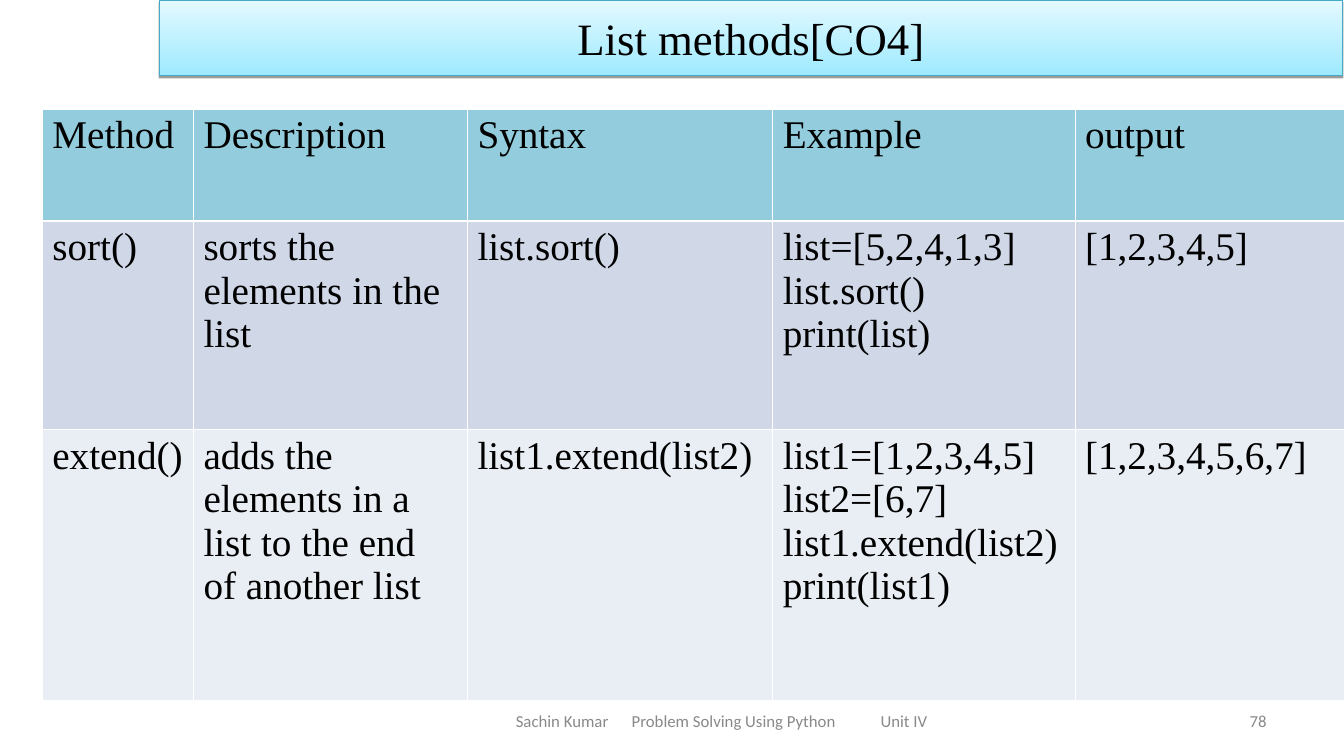
from lxml.etree import SubElement
from pptx import Presentation
from pptx.dml.color import RGBColor
from pptx.enum.shapes import MSO_SHAPE
from pptx.enum.text import MSO_ANCHOR, PP_ALIGN
from pptx.oxml.ns import qn
from pptx.util import Inches, Pt

COLORS = {
    "text": "000000", "muted": "898989", "edge": "46AAC5",
    "low": "9EEAFF", "high": "E4F9FF", "border": "FFFFFF",
    "head": "93CDDD", "odd": "D0D8E8", "even": "E9EDF4",
}
WIDTHS = [1.5, 2.72, 3.03, 3, 2.67]
HEIGHTS = [1.11, 2.07, 2.69]
ROWS = [
    ["Method", "Description", "Syntax", "Example", "output"],
    ["sort()", "sorts the elements in the list", "list.sort()",
     "list=[5,2,4,1,3]\nlist.sort()\nprint(list)", "[1,2,3,4,5]"],
    ["extend()", "adds the elements in a list to the end of another list",
     "list1.extend(list2)",
     "list1=[1,2,3,4,5]\nlist2=[6,7]\nlist1.extend(list2)\nprint(list1)",
     "[1,2,3,4,5,6,7]"],
]
FILLS = ["head", "odd", "even"]
THIN, THICK = 0.45, 1.47


def color(name):
    return RGBColor.from_string(COLORS[name])


def write(frame, text, size, font, tint, align=PP_ALIGN.LEFT):
    frame.word_wrap = True
    for i, line in enumerate(text.split("\n")):
        para = frame.paragraphs[0] if i == 0 else frame.add_paragraph()
        para.alignment = align
        run = para.add_run()
        run.text = line
        run.font.size = Pt(size)
        run.font.name = font
        run.font.color.rgb = color(tint)


def add_title(slide, text):
    bar = slide.shapes.add_shape(MSO_SHAPE.RECTANGLE, Inches(1.58), 0,
                                 Inches(11.75), Inches(0.75))
    bar.fill.gradient()
    bar.fill.gradient_angle = 90
    for stop, name in zip(bar.fill.gradient_stops, ["low", "high"]):
        stop.color.rgb = color(name)
    bar.line.color.rgb = color("edge")
    bar.line.width = Pt(0.75)

    # Soft edge below the bar
    bar.shadow.inherit = False
    effects = bar._element.spPr.find(qn("a:effectLst"))
    shade = SubElement(effects, qn("a:outerShdw"), blurRad="0",
                       dist=str(Pt(1.6)), dir="5400000", rotWithShape="0")
    tone = SubElement(shade, qn("a:srgbClr"), val=COLORS["text"])
    SubElement(tone, qn("a:alpha"), val="38000")

    bar.text_frame.vertical_anchor = MSO_ANCHOR.MIDDLE
    write(bar.text_frame, text, 32, "Times New Roman", "text", PP_ALIGN.CENTER)


def add_border(cell, side, width):
    line = SubElement(cell._tc.get_or_add_tcPr(), qn(f"a:{side}"),
                      w=str(Pt(width)))
    fill = SubElement(line, qn("a:solidFill"))
    SubElement(fill, qn("a:srgbClr"), val=COLORS["border"])


def add_grid(slide):
    frame = slide.shapes.add_table(
        len(ROWS), len(WIDTHS), Inches(0.42), Inches(1.08),
        Inches(sum(WIDTHS)), Inches(sum(HEIGHTS)))
    table = frame.table
    table.first_row = table.horz_banding = False
    for col, width in zip(table.columns, WIDTHS):
        col.width = Inches(width)
    for r, texts in enumerate(ROWS):
        table.rows[r].height = Inches(HEIGHTS[r])
        for c, text in enumerate(texts):
            cell = table.cell(r, c)
            write(cell.text_frame, text, 28, "Times New Roman", "text")
            # Borders come before the fill; the header rule is thicker
            add_border(cell, "lnL", THIN)
            add_border(cell, "lnR", THIN)
            add_border(cell, "lnT", THICK if r == 1 else THIN)
            add_border(cell, "lnB", THICK if r == 0 else THIN)
            cell.fill.solid()
            cell.fill.fore_color.rgb = color(FILLS[r])


def add_note(slide, left, width, text, align, inset=0.1, tabs=()):
    box = slide.shapes.add_textbox(Inches(left), Inches(6.95),
                                   Inches(width), Inches(0.4))
    frame = box.text_frame
    frame.vertical_anchor = MSO_ANCHOR.MIDDLE
    frame.margin_left = Inches(inset)
    if tabs:
        stops = SubElement(frame.paragraphs[0]._p.get_or_add_pPr(),
                           qn("a:tabLst"))
        for pos in tabs:
            SubElement(stops, qn("a:tab"), pos=str(Inches(pos)), algn="l")
    write(frame, text, 12, "Calibri", "muted", align)


def main():
    deck = Presentation()
    deck.slide_width, deck.slide_height = Inches(13.34), Inches(7.5)
    slide = deck.slides.add_slide(deck.slide_layouts[6])

    # Table and title
    add_grid(slide)
    add_title(slide, "List methods[CO4]")

    # Footer
    add_note(slide, 9.56, 3.11, "78", PP_ALIGN.RIGHT)
    add_note(slide, 4.42, 5.5,
             "Sachin Kumar\tProblem Solving Using Python\tUnit IV",
             PP_ALIGN.LEFT, inset=0.7, tabs=(1.15, 3.62))

    deck.save("out.pptx")


if __name__ == "__main__":
    main()
